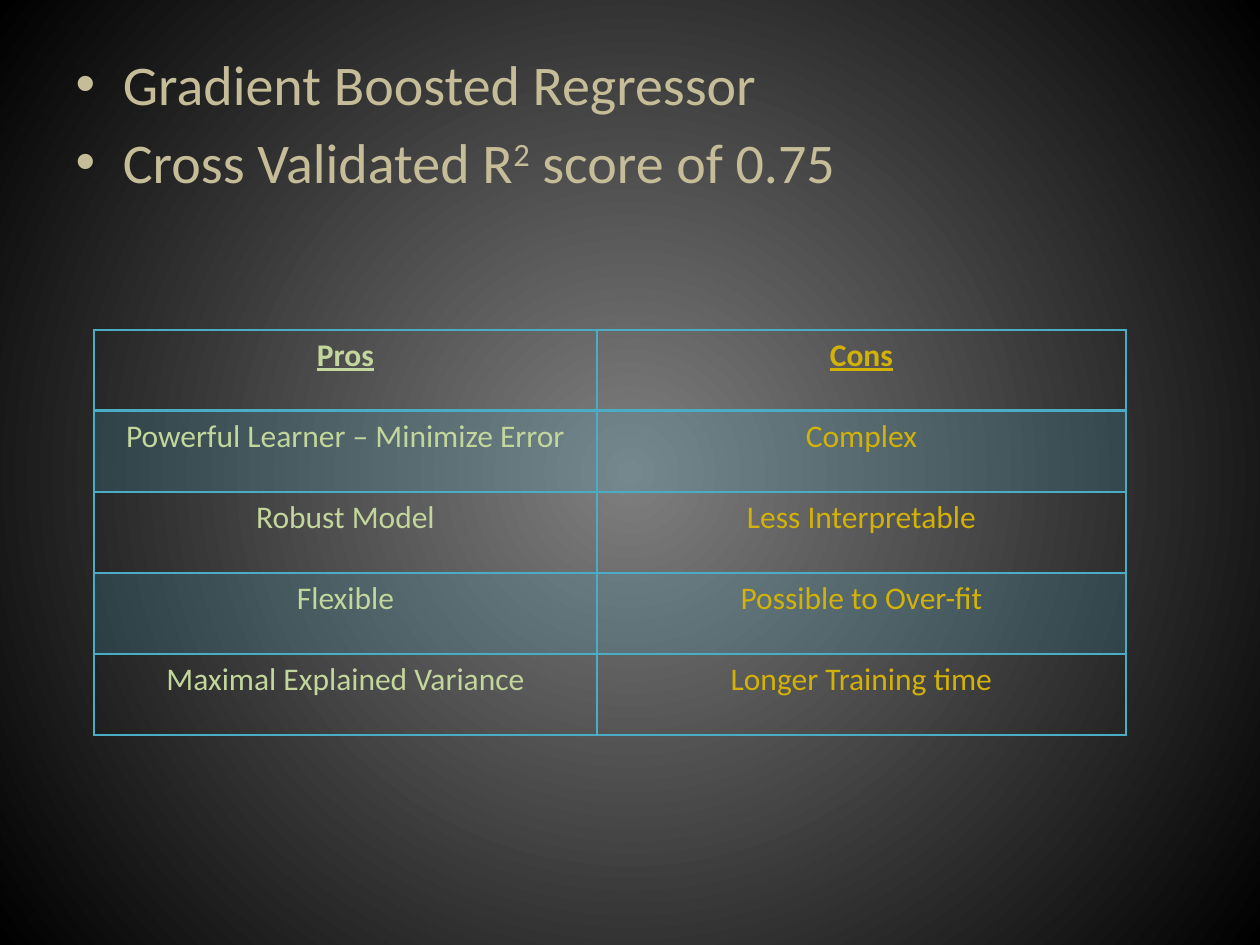
"""Build the Gradient Boosted Regressor slide with its pros and cons table."""
from lxml import etree
from pptx import Presentation
from pptx import util as u
from pptx.dml.color import RGBColor
from pptx.enum import text
from pptx.oxml import ns, parse_xml

PX = 914400 // 126
COLORS = {"tan": "C4BD97", "pros": "C3D69B", "cons": "D2B207", "teal": "4BACC6",
          "center": "7F7F7F", "edge": "000000"}
ROWS = [
    ("Pros", "Cons"),
    ("Powerful Learner – Minimize Error", "Complex"),
    ("Robust Model", "Less Interpretable"),
    ("Flexible", "Possible to Over-fit"),
    ("Maximal Explained Variance", "Longer Training time"),
]


def set_font(font, size, color):
    font.name = "Calibri"
    font.size = u.Pt(size)
    font.color.rgb = RGBColor.from_string(COLORS[color])


def add_borders(tc_pr, widths):
    for i, (side, width) in enumerate(widths.items()):
        tc_pr.insert(i, parse_xml(
            f'<a:ln{side} {ns.nsdecls("a")} w="{u.Pt(width)}"><a:solidFill>'
            f'<a:srgbClr val="{COLORS["teal"]}"/></a:solidFill></a:ln{side}>'))


prs = Presentation()
prs.slide_width, prs.slide_height = 1260 * PX, 945 * PX
s = prs.slides.add_slide(prs.slide_layouts[1])
title = s.shapes.title._element
title.getparent().remove(title)

s._element.cSld.insert(0, parse_xml(
    f'<p:bg {ns.nsdecls("p", "a")}><p:bgPr><a:gradFill rotWithShape="1"><a:gsLst>'
    f'<a:gs pos="0"><a:srgbClr val="{COLORS["center"]}"/></a:gs>'
    f'<a:gs pos="100000"><a:srgbClr val="{COLORS["edge"]}"/></a:gs></a:gsLst>'
    '<a:path path="circle"><a:fillToRect l="50000" t="50000" r="50000" b="50000"/></a:path>'
    '</a:gradFill><a:effectLst/></p:bgPr></p:bg>'))

body = s.placeholders[1]
body.left, body.top, body.width, body.height = [v * PX for v in (63, 43, 1134, 192)]
tf = body.text_frame
tf.text = "Gradient Boosted Regressor\nCross Validated R"
score = tf.paragraphs[1]
square = score.add_run()
square.text = "2"
square.font._element.set("baseline", "30000")
score.add_run().text = " score of 0.75"
for p in tf.paragraphs:
    for r in p.runs:
        set_font(r.font, 32, "tan")

widths = (503, 529)
row_height = 81
table = s.shapes.add_table(len(ROWS), 2, 94 * PX, 330 * PX, sum(widths) * PX,
                           len(ROWS) * row_height * PX).table
table.first_row = table.horz_banding = False
for column, width in zip(table.columns, widths):
    column.width = width * PX
for i, row in enumerate(ROWS):
    table.rows[i].height = row_height * PX
    for j, label in enumerate(row):
        cell = table.cell(i, j)
        cell.text = label
        p = cell.text_frame.paragraphs[0]
        p.alignment = text.PP_ALIGN.CENTER
        r = p.runs[0]
        set_font(r.font, 18, ("pros", "cons")[j])
        r.font.bold = r.font.underline = i == 0
        tc_pr = cell._tc.get_or_add_tcPr()
        if i % 2:
            cell.fill.solid()
            cell.fill.fore_color.rgb = RGBColor.from_string(COLORS["teal"])
            tint = tc_pr.find(".//" + ns.qn("a:srgbClr"))
            etree.SubElement(tint, ns.qn("a:alpha")).set("val", "20000")
        else:
            cell.fill.background()
        add_borders(tc_pr, {"L": 1, "R": 1, "T": 2 if i == 1 else 1, "B": 2 if i == 0 else 1})

prs.save("out.pptx")
